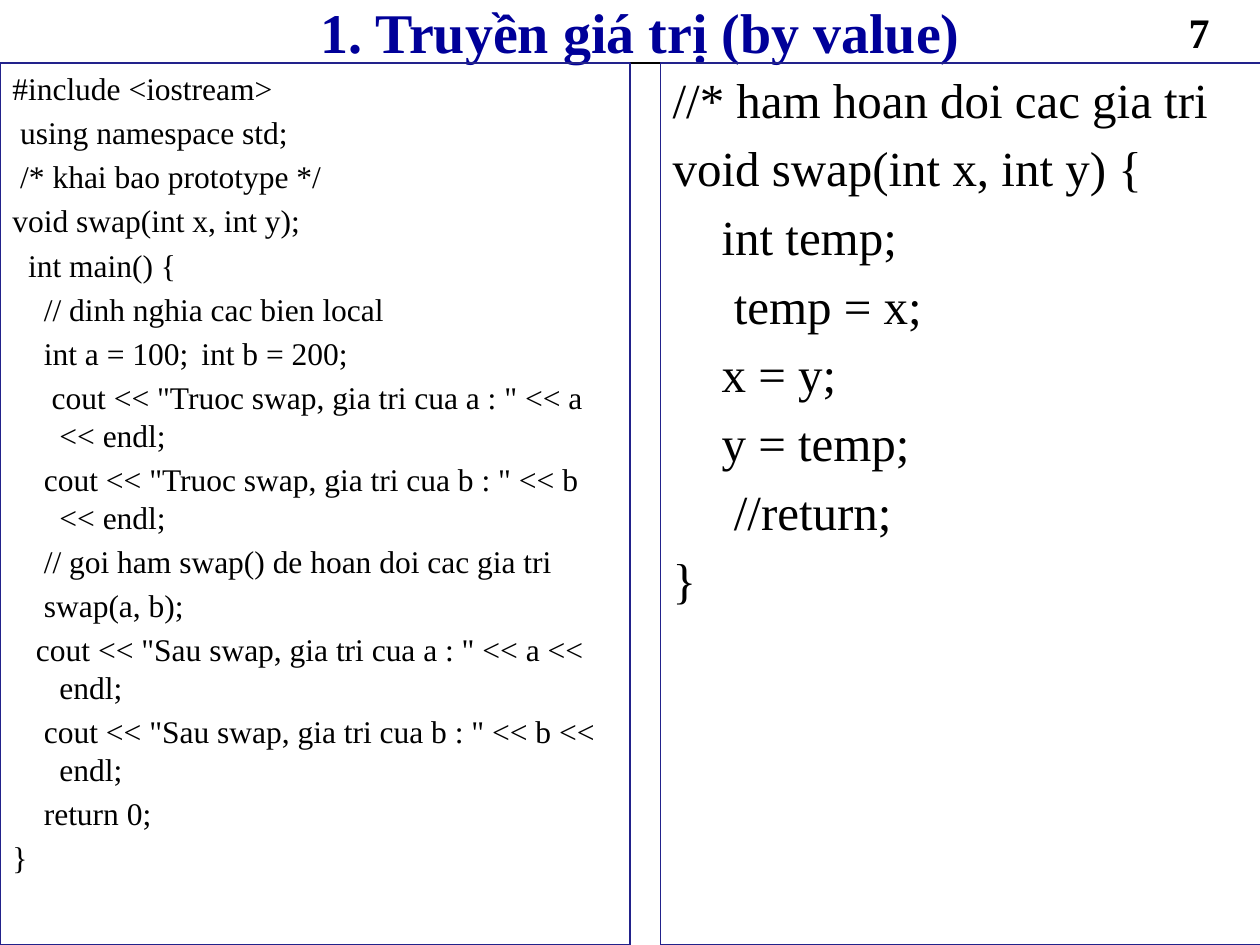
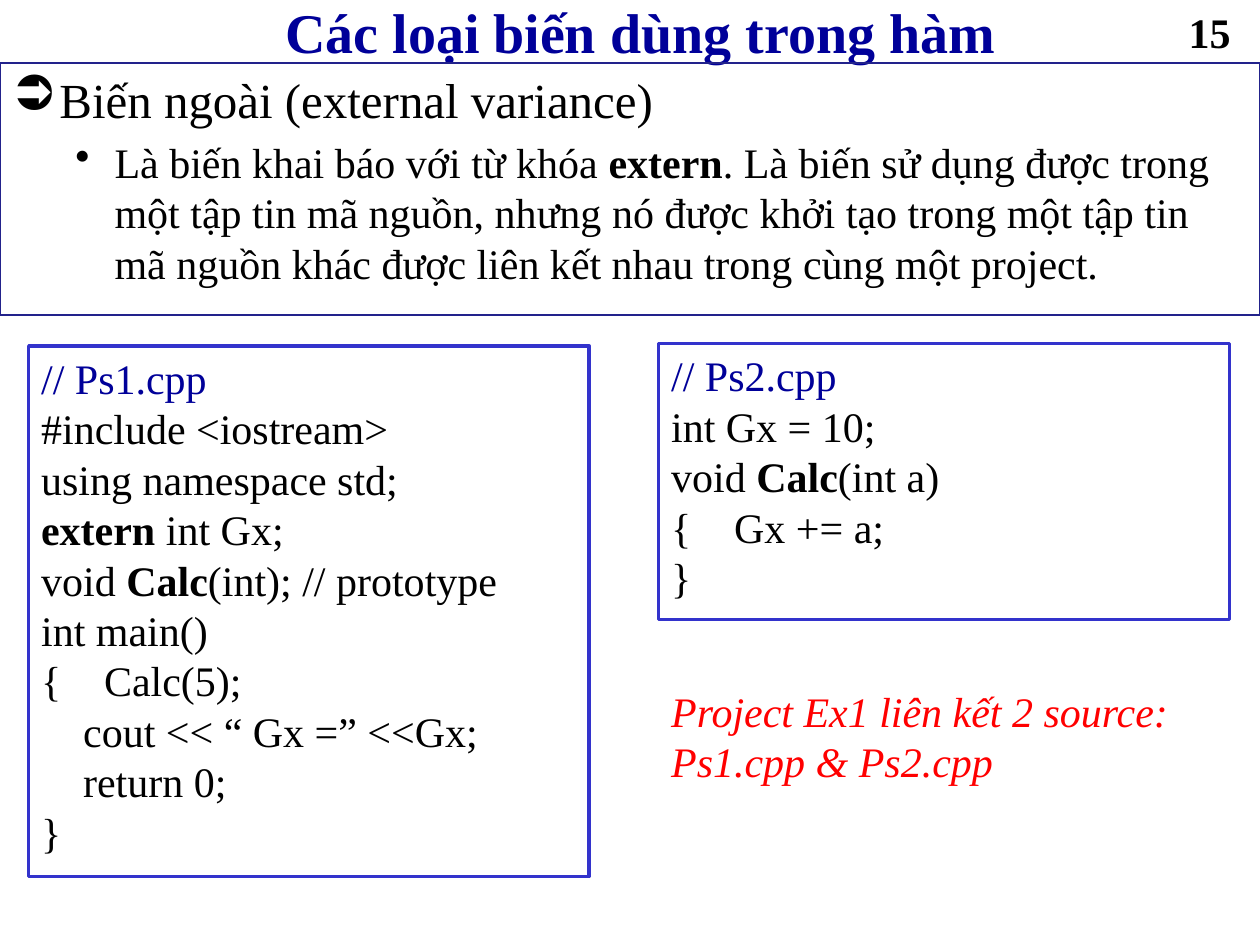
from lxml.etree import SubElement
from pptx import Presentation
from pptx.dml.color import RGBColor
from pptx.enum.shapes import MSO_CONNECTOR, MSO_SHAPE
from pptx.enum.text import MSO_ANCHOR, PP_ALIGN
from pptx.oxml.ns import qn
from pptx.util import Cm, Pt

# Shared look
FONT = "Times New Roman"
BLACK, NAVY, RED, WHITE = "000000", "000099", "FF0000", "FFFFFF"
PANEL = {"line": ("22228B", 0.75), "before": 0.2, "hang": 0.95}
SOURCE = {"line": ("3333CC", 2), "fill": WHITE, "heading": NAVY}
SPACE = 0.25  # width of a space in Times, relative to the type size

# Leading spaces in code become first-line indents, tabs go to "tab" (cm),
# and ** switches bold on and off
swap_program = """#include <iostream>
 using namespace std;
 /* khai bao prototype */
void swap(int x, int y);
  int main() {
    // dinh nghia cac bien local
    int a = 100;\tint b = 200;
     cout << "Truoc swap, gia tri cua a : " << a << endl;
    cout << "Truoc swap, gia tri cua b : " << b << endl;
    // goi ham swap() de hoan doi cac gia tri
    swap(a, b);
   cout << "Sau swap, gia tri cua a : " << a << endl;
    cout << "Sau swap, gia tri cua b : " << b << endl;
    return 0;
}"""
swap_function = """//* ham hoan doi cac gia tri
void swap(int x, int y) {
    int temp;
     temp = x;
    x = y;
    y = temp;
     //return;
}"""
extern_definition = """Biến ngoài (external variance)
Là biến khai báo với từ khóa **extern**. Là biến sử dụng được trong một tập tin mã nguồn, \
nhưng nó được khởi tạo trong một tập tin mã nguồn khác được liên kết nhau trong cùng một project."""
ps1_source = """// Ps1.cpp
#include <iostream>
using namespace std;
**extern** int Gx;
void **Calc**(int); // prototype
int main()
{\tCalc(5);
    cout << “ Gx =” <<Gx;
    return 0;
}"""
ps2_source = """// Ps2.cpp
int Gx = 10;
void **Calc**(int a)
{\tGx += a;
}"""
project_note = "Project Ex1 liên kết 2 source: Ps1.cpp & Ps2.cpp"

# Bullet levels: character, type size, left margin and hanging indent in cm
BULLETS = [("➲", 28, 0.95, 0.95), ("•", 24, 2.06, 0.79)]

lessons = [
    ("1. Truyền giá trị (by value)", "7", [
        {**PANEL, "at": (0, 1.27, 12.7, 17.78), "text": swap_program, "size": 18, "tab": 4.02},
        {**PANEL, "at": (13.31, 1.27, 12.7, 17.78), "text": swap_function, "size": 28},
    ]),
    ("Các loại biến dùng trong hàm", "15", [
        {**PANEL, "at": (0, 1.27, 25.4, 5.08), "text": extern_definition, "bullets": BULLETS},
        {**SOURCE, "at": (0.58, 6.98, 11.3, 10.69), "text": ps1_source, "tab": 0.83},
        {**SOURCE, "at": (13.28, 6.93, 11.51, 5.56), "text": ps2_source, "tab": 1.25},
        {"at": (13.28, 13.69, 11.51, 2.31), "text": project_note,
         "color": RED, "font": {"italic": True}},
    ]),
]


def color(hex_code):
    return RGBColor.from_string(hex_code)


deck = Presentation()
deck.slide_width, deck.slide_height = Cm(25.4), Cm(19.05)

for title, number, blocks in lessons:
    slide = deck.slides.add_slide(deck.slide_layouts[6])

    # Rule under the title
    rule = slide.shapes.add_connector(MSO_CONNECTOR.STRAIGHT, 0, Cm(1.27), Cm(25.4), Cm(1.27))
    rule.line.color.rgb = color(BLACK)
    rule.line.width = Pt(0.75)
    SubElement(rule._element.spPr, qn("a:effectLst"))

    # Title and page number come first, then the content blocks
    header = [
        {"at": (2.12, 0, 21.59, 1.27), "text": title, "size": 32, "color": NAVY,
         "font": {"bold": True}, "anchor": MSO_ANCHOR.MIDDLE, "align": PP_ALIGN.CENTER},
        {"at": (23.71, 0, 1.69, 1.27), "text": number, "font": {"bold": True}},
    ]
    for block in header + blocks:
        box = [Cm(length) for length in block["at"]]
        if "line" in block:
            area = slide.shapes.add_shape(MSO_SHAPE.RECTANGLE, *box)
            area.shadow.inherit = False
            line_color, line_width = block["line"]
            area.line.color.rgb = color(line_color)
            area.line.width = Pt(line_width)
            if "fill" in block:
                area.fill.solid()
                area.fill.fore_color.rgb = color(block["fill"])
            else:
                area.fill.background()
        else:
            area = slide.shapes.add_textbox(*box)
        frame = area.text_frame
        frame.word_wrap = True
        frame.vertical_anchor = block.get("anchor", MSO_ANCHOR.TOP)

        for index, row in enumerate(block["text"].split("\n")):
            paragraph = frame.paragraphs[0] if index == 0 else frame.add_paragraph()
            paragraph.alignment = block.get("align", PP_ALIGN.LEFT)
            size = block.get("size", 24)
            # Tabbed rows never wrap, so they need no hanging indent
            left = hang = 0 if "\t" in row else block.get("hang", 0)
            bullet = None
            if "bullets" in block:
                bullet, size, left, hang = block["bullets"][index]
            paragraph.space_before = Pt(size * block.get("before", 0))

            # Indents, bullet and tab stop
            code = row.lstrip(" ")
            lead = Pt((len(row) - len(code)) * size * SPACE)
            props = paragraph._p.get_or_add_pPr()
            props.set("marL", str(Cm(left)))
            props.set("indent", str(lead - Cm(hang)))
            if bullet:
                SubElement(props, qn("a:buChar"), char=bullet)
            else:
                SubElement(props, qn("a:buNone"))
            if "\t" in row:
                stops = SubElement(props, qn("a:tabLst"))
                SubElement(stops, qn("a:tab"), pos=str(Cm(block["tab"])), algn="l")

            # Runs, every second one bold
            ink = block.get("color", BLACK)
            if index == 0:
                ink = block.get("heading", ink)
            for turn, words in enumerate(code.split("**")):
                if not words:
                    continue
                run = paragraph.add_run()
                run.text = words
                look = {"name": FONT, "size": Pt(size), "bold": turn % 2 == 1,
                        **block.get("font", {})}
                for attribute, value in look.items():
                    setattr(run.font, attribute, value)
                run.font.color.rgb = color(ink)

deck.save("out.pptx")
